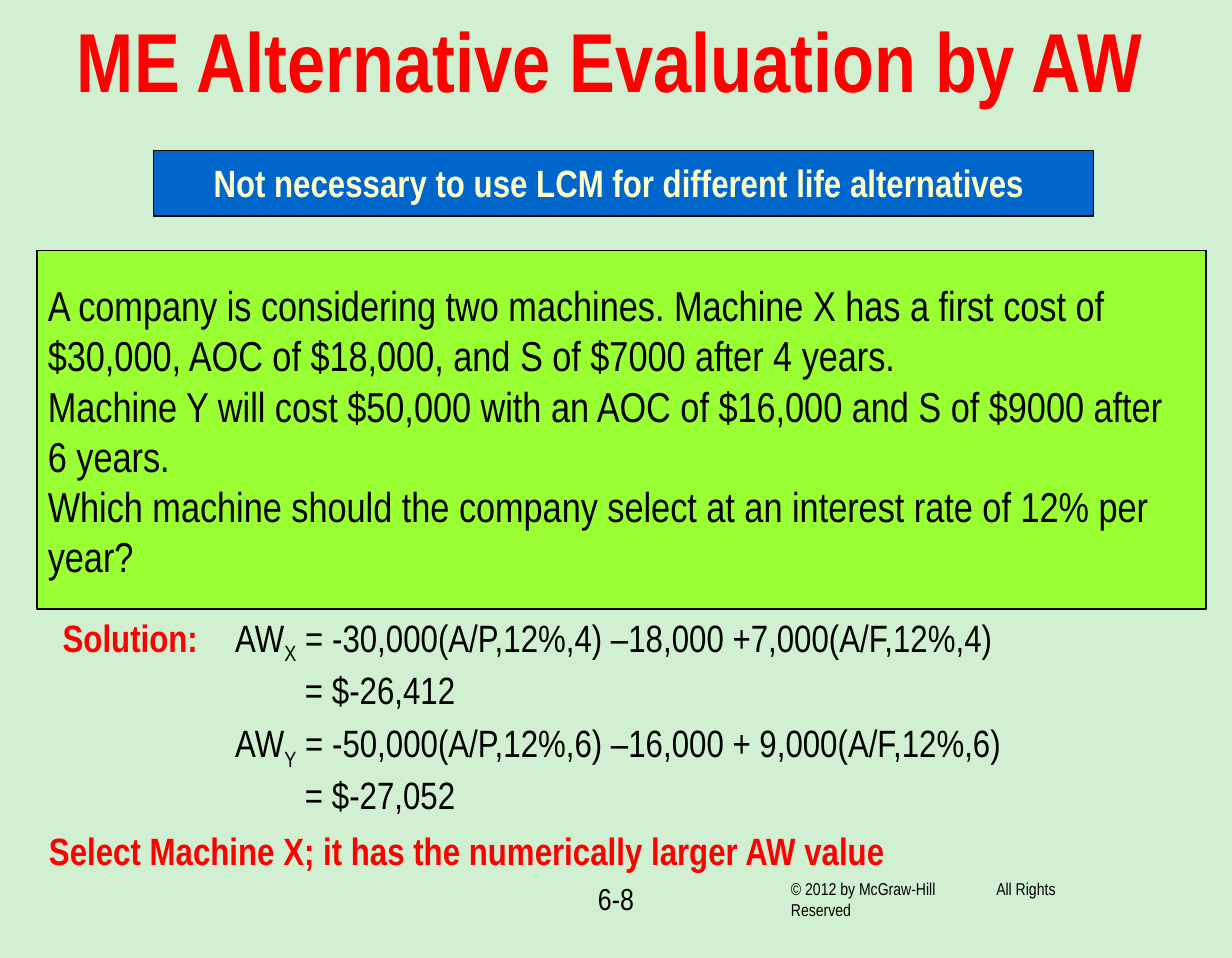
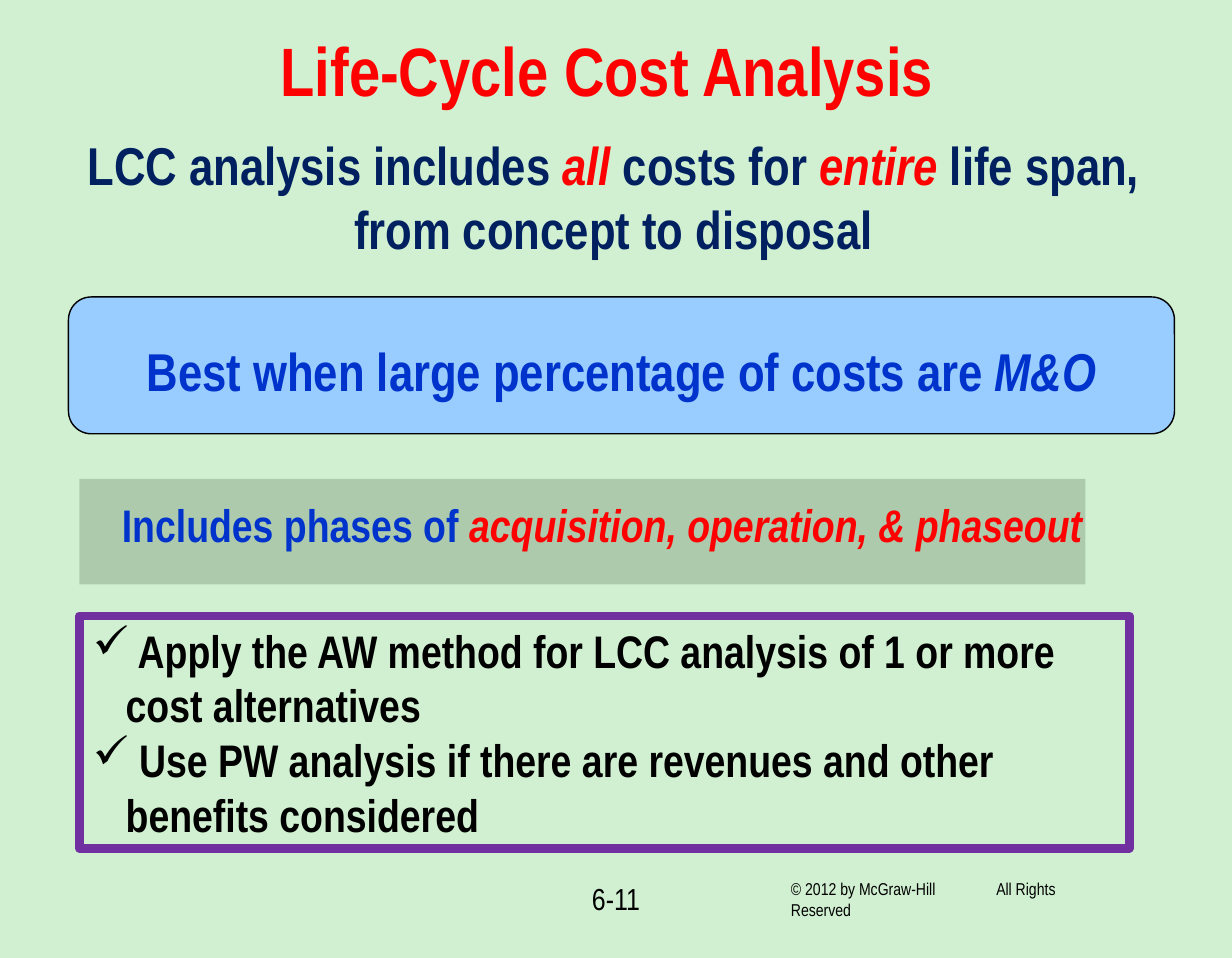
from dataclasses import dataclass

from lxml import etree
from pptx import Presentation
from pptx.dml.color import RGBColor
from pptx.enum.shapes import MSO_SHAPE
from pptx.enum.text import MSO_ANCHOR, MSO_AUTO_SIZE, PP_ALIGN
from pptx.oxml.ns import qn
from pptx.slide import Slide
from pptx.text.text import TextFrame
from pptx.util import Pt

RECT, ROUNDED = MSO_SHAPE.RECTANGLE, MSO_SHAPE.ROUNDED_RECTANGLE
LEFT, CENTER = PP_ALIGN.LEFT, PP_ALIGN.CENTER
TOP, MIDDLE = MSO_ANCHOR.TOP, MSO_ANCHOR.MIDDLE
NO_AUTOFIT = MSO_AUTO_SIZE.NONE

PX = 9144  # 100 px to the inch
FONT = "Arial Narrow"
SUBSCRIPT = "-25000"
COLORS = {
    "background": "D1F0D1",
    "black": "000000",
    "red": "FF0000",
    "navy": "002060",
    "blue": "0033CC",
    "cream": "FFFFCC",
    "banner": "0066CC",
    "problem": "99FF33",
    "callout": "99CCFF",
    "phases": "ADCAAD",
    "purple": "7030A0",
}
COPYRIGHT = "© 2012 by McGraw-Hill\tAll Rights Reserved"


@dataclass(frozen=True)
class Run:
    text: str
    color: str | None = None
    italic: bool = False
    subscript: bool = False


@dataclass(frozen=True)
class Para:
    runs: tuple[Run, ...]
    margin: int = 0
    bullet: str = ""
    tab: int = 0


@dataclass(frozen=True)
class Box:
    """A text box, or a preset shape with text when shape is set."""
    at: tuple[int, int, int, int]
    paras: tuple[Para, ...]
    size: int
    color: str = "black"
    bold: bool = False
    align: PP_ALIGN = LEFT
    anchor: MSO_ANCHOR = TOP
    insets: tuple[int, int, int, int] = (10, 5, 10, 5)
    wrap: bool = True
    shape: MSO_SHAPE | None = None
    fill: str | None = None
    line: str | None = None
    weight: float = 0.75


def rgb(name: str) -> RGBColor:
    return RGBColor.from_string(COLORS[name])


def plain(text: str, **options) -> Para:
    return Para((Run(text),), **options)


def add_para_marks(p, para: Para) -> None:
    """Set the paragraph's margin, bullet and tab stop."""
    pPr = p._p.get_or_add_pPr()
    indent = -para.margin if para.bullet else 0
    pPr.set("marL", str(para.margin * PX))
    pPr.set("indent", str(indent * PX))
    if para.bullet:
        etree.SubElement(pPr, qn("a:buChar")).set("char", para.bullet)
    if para.tab:
        tabs = etree.SubElement(pPr, qn("a:tabLst"))
        etree.SubElement(tabs, qn("a:tab"), pos=str(para.tab * PX), algn="l")


def write_text(tf: TextFrame, box: Box) -> None:
    left, top, right, bottom = (inset * PX for inset in box.insets)
    frame_format = {
        "auto_size": NO_AUTOFIT,
        "word_wrap": box.wrap,
        "vertical_anchor": box.anchor,
        "margin_left": left,
        "margin_top": top,
        "margin_right": right,
        "margin_bottom": bottom,
    }
    for name, value in frame_format.items():
        setattr(tf, name, value)
    for i, para in enumerate(box.paras):
        p = tf.add_paragraph() if i else tf.paragraphs[0]
        p.alignment = box.align
        add_para_marks(p, para)
        for run in para.runs:
            r = p.add_run()
            r.text = run.text
            font_format = {"name": FONT, "size": Pt(box.size),
                           "bold": box.bold, "italic": run.italic}
            for name, value in font_format.items():
                setattr(r.font, name, value)
            r.font.color.rgb = rgb(run.color or box.color)
            if run.subscript:
                r._r.get_or_add_rPr().set("baseline", SUBSCRIPT)


def draw_box(s: Slide, box: Box) -> None:
    at = [length * PX for length in box.at]
    if box.shape is None:
        sp = s.shapes.add_textbox(*at)
    else:
        sp = s.shapes.add_shape(box.shape, *at)
        sp.shadow.inherit = False
        if box.fill:
            sp.fill.solid()
            sp.fill.fore_color.rgb = rgb(box.fill)
        else:
            sp.fill.background()
        if box.line:
            sp.line.color.rgb = rgb(box.line)
            sp.line.width = Pt(box.weight)
        else:
            sp.line.fill.background()
    write_text(sp.text_frame, box)


def add_slide(prs, title: str, at: tuple[int, int, int, int], size: int,
              page: str, boxes: list[Box]) -> None:
    s = prs.slides.add_slide(prs.slide_layouts[5])
    sp = s.shapes.title
    sp.left, sp.top, sp.width, sp.height = (length * PX for length in at)
    write_text(sp.text_frame, Box(at, (plain(title),), size, "red", bold=True,
                                  align=CENTER, anchor=MIDDLE))
    footer = [
        Box((390, 638, 120, 47), (plain(page),), 16, align=CENTER),
        Box((568, 637, 240, 29), (plain(COPYRIGHT, tab=119),), 9),
    ]
    for box in boxes + footer:
        draw_box(s, box)


def worth_box(top: int, machine: str, formula: str, result: str) -> Box:
    """Annual worth of one machine, with the result under the equals sign."""
    equation = Para((Run("AW"), Run(machine, subscript=True), Run(f" = {formula}")))
    return Box((162, top, 586, 82), (equation, plain(f"= {result}", margin=51)), 20)


EVALUATION = [
    Box((112, 110, 687, 48),
        (plain("Not necessary to use LCM for different life alternatives"),),
        20, "cream", bold=True, anchor=MIDDLE, insets=(44, 3, 5, 5),
        shape=RECT, fill="banner", line="black"),
    Box((27, 183, 854, 262), (
        plain("A company is considering two machines. Machine X has a first cost of "
              "$30,000, AOC of $18,000, and S of $7000 after 4 years."),
        plain("Machine Y will cost $50,000 with an AOC of $16,000 and S of $9000 "
              "after 6 years."),
        plain("Which machine should the company select at an interest rate of 12% "
              "per year?"),
    ), 22, anchor=MIDDLE, insets=(8, 6, 24, 5),
        shape=RECT, fill="problem", line="black"),
    Box((36, 444, 130, 44), (plain("Solution:"),), 20, "red", bold=True),
    worth_box(444, "X", "-30,000(A/P,12%,4) –18,000 +7,000(A/F,12%,4)", "$-26,412"),
    worth_box(521, "Y", "-50,000(A/P,12%,6) –16,000 + 9,000(A/F,12%,6)", "$-27,052"),
    Box((26, 600, 660, 44),
        (plain("Select Machine X; it has the numerically larger AW value"),),
        20, "red", bold=True),
]

LIFE_CYCLE = [
    Box((48, 92, 800, 104), (
        Para((Run("LCC analysis includes "), Run("all ", "red", italic=True),
              Run("costs for "), Run("entire", "red", italic=True),
              Run(" life span,"))),
        plain("from concept to disposal"),
    ), 28, "navy", bold=True, align=CENTER),
    Box((50, 217, 808, 100),
        (Para((Run("Best when large percentage of costs are "),
               Run("M&O", italic=True))),),
        28, "blue", bold=True, align=CENTER, anchor=MIDDLE, insets=(10, 12, 10, 5),
        shape=ROUNDED, fill="callout", line="black"),
    Box((58, 350, 735, 77),
        (Para((Run("Includes phases of "),
               Run("acquisition, operation, & phaseout", "red", italic=True))),),
        24, "blue", bold=True, anchor=MIDDLE, insets=(31, 0, 0, 11), wrap=False,
        shape=RECT, fill="phases"),
    Box((58, 450, 767, 170), tuple(
        plain(text, margin=24, bullet="✓") for text in (
            " Apply the AW method for LCC analysis of 1 or more cost alternatives",
            " Use PW analysis if there are revenues and other benefits considered",
        )), 24, bold=True, shape=RECT, line="purple", weight=4.5),
]


def main() -> None:
    prs = Presentation()
    prs.slide_width, prs.slide_height = 900 * PX, 700 * PX
    fill = prs.slide_master.background.fill
    fill.solid()
    fill.fore_color.rgb = rgb("background")
    add_slide(prs, "ME Alternative Evaluation by AW", (17, 2, 858, 82), 44,
              "6-8", EVALUATION)
    add_slide(prs, "Life-Cycle Cost Analysis", (50, 17, 787, 67), 36,
              "6-11", LIFE_CYCLE)
    prs.save("out.pptx")


if __name__ == "__main__":
    main()
